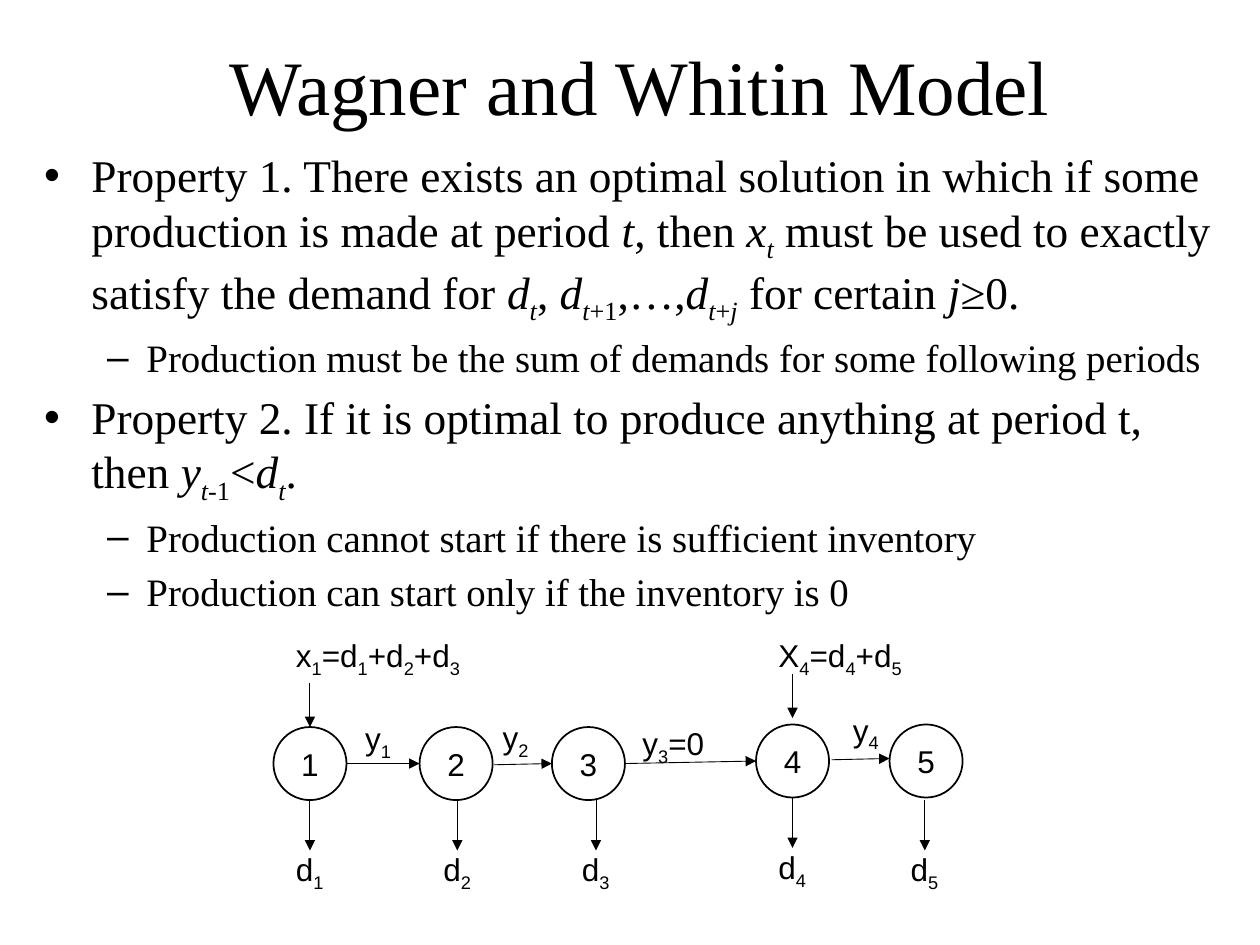
from lxml import etree
from pptx import Presentation
from pptx.dml.color import RGBColor
from pptx.enum.shapes import MSO_CONNECTOR, MSO_SHAPE
from pptx.enum.text import MSO_ANCHOR, MSO_AUTO_SIZE, PP_ALIGN
from pptx.oxml.ns import qn
from pptx.util import Inches, Pt

COLORS = {"ink": "000000", "paper": "FFFFFF"}
SERIF, SANS = "Times New Roman", "Arial"


def color(name):
    return RGBColor.from_string(COLORS[name])


class Deck:
    def __init__(self):
        self.prs = Presentation()
        self.prs.slide_width, self.prs.slide_height = Inches(10), Inches(7.5)

    def new_slide(self, layout):
        self.s = self.prs.slides.add_slide(self.prs.slide_layouts[layout])
        self.s.background.fill.solid()
        self.s.background.fill.fore_color.rgb = color("paper")

    def add_text(self, p, text, size, font):
        italic = sub = False
        for part in text.replace("*", "|*|").replace("~", "|~|").split("|"):
            if part == "*":
                italic = not italic
            elif part == "~":
                sub = not sub
            elif part:
                r = p.add_run()
                r.text = part
                r.font.size, r.font.name = Pt(size), font
                r.font.color.rgb = color("ink")
                if italic:
                    r.font.italic = True
                if sub:
                    r._r.get_or_add_rPr().set("baseline", "-25000")

    def place(self, sp, x, y, w, h):
        sp.left, sp.top, sp.width, sp.height = map(Inches, (x, y, w, h))

    def title(self, text, *box):
        sp = self.s.shapes.title
        self.place(sp, *box)
        tf = sp.text_frame
        tf.vertical_anchor, tf.auto_size = MSO_ANCHOR.MIDDLE, MSO_AUTO_SIZE.NONE
        p = tf.paragraphs[0]
        p.alignment = PP_ALIGN.CENTER
        self.add_text(p, text, 44, SERIF)

    def body(self, items, *box):
        sp = self.s.placeholders[1]
        self.place(sp, *box)
        tf = sp.text_frame
        tf.auto_size = MSO_AUTO_SIZE.NONE
        for i, (level, text) in enumerate(items):
            p = tf.add_paragraph() if i else tf.paragraphs[0]
            p.level = level
            self.add_text(p, text, (25.9, 22.2)[level], SERIF)

    def label(self, text, x, y, w, h=0.4):
        tf = self.s.shapes.add_textbox(*map(Inches, (x, y, w, h))).text_frame
        tf.word_wrap, tf.auto_size = True, MSO_AUTO_SIZE.SHAPE_TO_FIT_TEXT
        self.add_text(tf.paragraphs[0], text, 18, SANS)

    def node(self, text, x, y, size):
        sp = self.s.shapes.add_shape(MSO_SHAPE.OVAL, *map(Inches, (x, y, size, size)))
        sp.shadow.inherit = False
        sp.fill.solid()
        sp.fill.fore_color.rgb = color("paper")
        sp.line.color.rgb, sp.line.width = color("ink"), Pt(1)
        tf = sp.text_frame
        tf.word_wrap, tf.vertical_anchor = False, MSO_ANCHOR.MIDDLE
        p = tf.paragraphs[0]
        p.alignment = PP_ALIGN.CENTER
        self.add_text(p, text, 18, SANS)

    def arrow(self, x1, y1, x2, y2):
        c = self.s.shapes.add_connector(MSO_CONNECTOR.STRAIGHT, *map(Inches, (x1, y1, x2, y2)))
        c.line.color.rgb, c.line.width = color("ink"), Pt(0.5)
        spPr = c._element.spPr
        etree.SubElement(spPr.find(qn("a:ln")), qn("a:tailEnd"), type="triangle")
        etree.SubElement(spPr, qn("a:effectLst"))


deck = Deck()
deck.new_slide(1)
deck.title("Wagner and Whitin Model", 0.58, 0.05, 9, 1.25)
deck.body([
    (0, "Property 1. There exists an optimal solution in which if some production is made "
        "at period *t*, then *x~t~* must be used to exactly satisfy the demand for "
        "*d~t~*, *d~t*+1~,…,*d~t*+*j~* for certain *j*≥0."),
    (1, "Production must be the sum of demands for some following periods"),
    (0, "Property 2. If it is optimal to produce anything at period t, then "
        "*y~t*-1~<*d~t~*."),
    (1, "Production cannot start if there is sufficient inventory"),
    (1, "Production can start only if the inventory is 0"),
], 0.25, 1.12, 9.5, 3.82)

NODE = 0.58
periods = [(2.17, 5.77, 2.46, 6.35), (3.33, 5.77, 3.63, 6.35), (4.38, 5.77, 4.73, 6.35),
           (6, 5.75, 6.29, 6.33), (7.06, 5.75, 7.34, 6.35)]
for n, (x, y, demand_x, demand_y) in enumerate(periods, 1):
    deck.node(str(n), x, y, NODE)
    deck.arrow(demand_x, demand_y, demand_x, demand_y + 0.4)
    deck.label(f"d~{n}~", demand_x - 0.21, demand_y + 0.35, 0.67)

inventories = [("y~1~", 2.8, 5.66, 0.63, (2.75, 6.06, 3.33, 6.06)),
               ("y~2~", 3.89, 5.65, 0.63, (3.92, 6.07, 4.38, 6.06)),
               ("y~3~=0", 5, 5.7, 0.86, (4.96, 6.06, 6, 6.04)),
               ("y~4~", 6.67, 5.59, 0.63, (6.6, 6.03, 7.06, 6.02))]
for text, x, y, w, ends in inventories:
    deck.label(text, x, y, w)
    deck.arrow(*ends)

orders = [("x~1~=d~1~+d~2~+d~3~", 2.25, 1.83, 2.46, 5.42),
          ("X~4~=d~4~+d~5~", 6.08, 1.67, 6.29, 5.35)]
for text, x, w, arrow_x, arrow_y in orders:
    deck.label(text, x, 5, w)
    deck.arrow(arrow_x, arrow_y, arrow_x, arrow_y + 0.35)

deck.prs.save("out.pptx")
